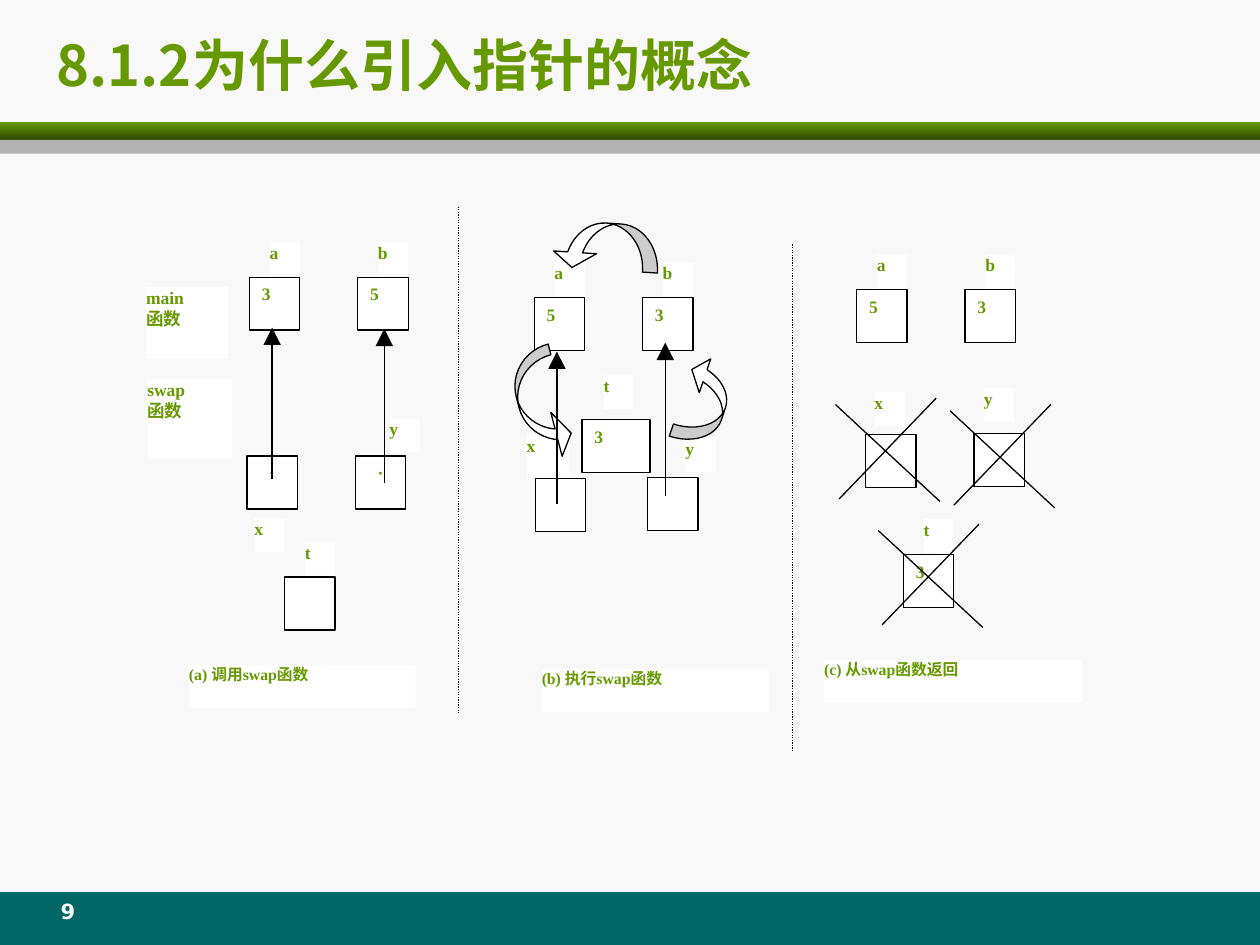
from lxml.etree import SubElement
from pptx import Presentation
from pptx.dml.color import RGBColor
from pptx.enum.dml import MSO_LINE
from pptx.enum.shapes import MSO_CONNECTOR, MSO_SHAPE
from pptx.enum.text import MSO_ANCHOR, PP_ALIGN
from pptx.oxml.ns import qn
from pptx.util import Inches, Pt

COLORS = {
    "background": "F8F8F8", "green": "669900", "dark_green": "2F4700",
    "gray": "B2B2B2", "teal": "006666", "white": "FFFFFF", "black": "000000",
}
SERIF, SANS, CJK = "Times New Roman", "DejaVu Sans", "Noto Sans CJK JP"
CELL_WIDTH, CELL_HEIGHT = 0.4, 0.42
COLUMN_STEP = 0.86  # from variable a to variable b


def color(name):
    return RGBColor.from_string(COLORS[name])


def add_text(shape, lines, size, font=SERIF, ink="green", inset=(0, 0),
             align=PP_ALIGN.LEFT, anchor=MSO_ANCHOR.TOP):
    frame = shape.text_frame
    frame.word_wrap = True
    frame.vertical_anchor = anchor
    frame.margin_left = frame.margin_right = Inches(inset[0])
    frame.margin_top = frame.margin_bottom = Inches(inset[1])
    for index, line in enumerate(lines):
        paragraph = frame.add_paragraph() if index else frame.paragraphs[0]
        paragraph.alignment = align
        run = paragraph.add_run()
        run.text = line
        run.font.size, run.font.bold, run.font.name = Pt(size), True, font
        run.font.color.rgb = color(ink)
        SubElement(run.font._element, qn("a:ea")).set("typeface", CJK)


def add_block(slide, left, top, width, height, fill="white", outlined=False,
              preset=MSO_SHAPE.RECTANGLE):
    shape = slide.shapes.add_shape(
        preset, Inches(left), Inches(top), Inches(width), Inches(height))
    shape.shadow.inherit = False
    shape.fill.solid()
    shape.fill.fore_color.rgb = color(fill)
    if outlined:
        shape.line.color.rgb = color("black")
        shape.line.width = Pt(0.75)
    else:
        shape.line.fill.background()
    return shape


def add_label(slide, left, top, *lines, width=0.24, height=0.27, size=10):
    add_text(add_block(slide, left, top, width, height), lines, size)


def add_cell(slide, left, top, value="", width=CELL_WIDTH, align=PP_ALIGN.LEFT):
    cell = add_block(slide, left, top, width, CELL_HEIGHT, outlined=True)
    if value:
        add_text(cell, [value], 10, inset=(0.1, 0.05), align=align)


def add_variable(slide, left, top, name, value=""):
    """A memory cell with its name above it."""
    add_label(slide, left + 0.16, top - 0.28, name)
    add_cell(slide, left, top, value)


def add_main_variables(slide, left, top, a, b):
    add_variable(slide, left, top, "a", a)
    add_variable(slide, left + COLUMN_STEP, top, "b", b)


def add_line(slide, start, end):
    line = slide.shapes.add_connector(
        MSO_CONNECTOR.STRAIGHT, *(Inches(value) for value in (*start, *end)))
    line.line.color.rgb = color("black")
    line.line.width = Pt(0.75)
    SubElement(line._element.spPr, qn("a:effectLst"))
    return line


def add_pointer(slide, left, top, bottom):
    """A vertical line with its arrowhead at the top."""
    line = add_line(slide, (left, top), (left, bottom))
    head = SubElement(line.line._get_or_add_ln(), qn("a:headEnd"))
    for key, value in (("type", "triangle"), ("w", "lg"), ("len", "lg")):
        head.set(key, value)


def add_curved_arrow(slide, left, top, width, height, rotation, adjustments):
    arrow = add_block(slide, left, top, width, height, outlined=True,
                      preset=MSO_SHAPE.CURVED_UP_ARROW)
    arrow.rotation = rotation
    for index, value in enumerate(adjustments):
        arrow.adjustments[index] = value


def add_cross(slide, left, top):
    add_line(slide, (left + 0.8, top), (left + 0.03, top + 0.8))
    add_line(slide, (left, top + 0.05), (left + 0.83, top + 0.82))


def add_caption(slide, left, top, text, width=1.8):
    add_label(slide, left, top, text, width=width, height=0.34, size=9)


def add_header(slide, left, top, width):
    # Title, gradient bar and gray bar
    title = slide.shapes.add_textbox(
        Inches(left + 0.35), Inches(top + 0.21), Inches(8.72), Inches(0.59))
    add_text(title, ["8.1.2为什么引入指针的概念"], 32, font=CJK,
             inset=(0.1, 0.05), anchor=MSO_ANCHOR.MIDDLE)
    bar = add_block(slide, left, top + 0.97, width, 0.14)
    bar.fill.gradient()
    bar.fill.gradient_angle = 270
    for stop, name, position in zip(
            bar.fill.gradient_stops, ("green", "dark_green"), (0, 1)):
        stop.color.rgb = color(name)
        stop.position = position
    add_block(slide, left, top + 1.11, width, 0.11, fill="gray")


def add_footer(slide, left, top, width, height):
    add_block(slide, left, top, width, height, fill="teal")
    number = slide.shapes.add_textbox(
        Inches(left + 0.25), Inches(top), Inches(0.58), Inches(0.33))
    add_text(number, ["9"], 12, font=SANS, ink="background",
             inset=(0.1, 0.05), align=PP_ALIGN.CENTER)


# In each panel, left and top are the corner of the cell of variable a.
def add_call_panel(slide, left, top):
    add_main_variables(slide, left, top, "3", "5")
    add_label(slide, left - 0.82, top + 0.08, "main", "函数", width=0.65, height=0.57)
    add_label(slide, left - 0.81, top + 0.81, "swap", "函数", width=0.67, height=0.63)
    # Parameters and the temporary variable
    add_label(slide, left + 0.04, top + 1.91, "x")
    add_label(slide, left + 1.11, top + 1.12, "y")
    for column in range(2):
        add_cell(slide, left - 0.02 + column * COLUMN_STEP, top + 1.42, "·",
                 align=PP_ALIGN.CENTER)
    add_variable(slide, left + 0.28, top + 2.38, "t")
    add_pointer(slide, left + 0.18, top + 0.4, top + 1.6)
    add_pointer(slide, left + 1.07, top + 0.41, top + 1.63)
    add_caption(slide, left - 0.48, top + 3.08, "(a) 调用swap函数")


def add_execute_panel(slide, left, top):
    add_main_variables(slide, left, top, "5", "3")
    # Parameters and the temporary variable
    add_label(slide, left - 0.06, top + 1.09, "x", width=0.34, height=0.36)
    add_cell(slide, left + 0.01, top + 1.44)
    add_label(slide, left + 1.2, top + 1.12, "y")
    add_cell(slide, left + 0.9, top + 1.43)
    add_label(slide, left + 0.55, top + 0.62, "t")
    add_cell(slide, left + 0.38, top + 0.97, "3", width=0.54)
    # Moves a to t, t to b and b to a
    add_curved_arrow(slide, left - 0.4, top + 0.68, 0.91, 0.35, 75.5, (0.25, 1.03, 0.33))
    add_curved_arrow(slide, left + 1, top + 0.65, 0.7, 0.35, 288.6, (0.29, 0.81, 0.33))
    add_curved_arrow(slide, left + 0.14, top - 0.59, 0.85, 0.37, 183.7, (0.32, 0.92, 0.33))
    add_pointer(slide, left + 0.18, top + 0.43, top + 1.64)
    add_pointer(slide, left + 1.04, top + 0.36, top + 1.58)
    add_caption(slide, left + 0.06, top + 2.95, "(b) 执行swap函数")


def add_return_panel(slide, left, top):
    add_main_variables(slide, left, top, "5", "3")
    # Released variables, crossed out
    add_cell(slide, left + 0.07, top + 1.15)
    add_label(slide, left + 0.14, top + 0.81, "x")
    add_cell(slide, left + 0.93, top + 1.14)
    add_label(slide, left + 1.01, top + 0.78, "y")
    add_variable(slide, left + 0.37, top + 2.1, "t", "3")
    for across, down in ((-0.17, 0.86), (0.74, 0.91), (0.17, 1.86)):
        add_cross(slide, left + across, top + down)
    add_caption(slide, left - 0.26, top + 2.94, "(c) 从swap函数返回", width=2.05)


def main():
    presentation = Presentation()
    presentation.slide_width, presentation.slide_height = Inches(10), Inches(7.5)
    slide = presentation.slides.add_slide(presentation.slide_layouts[6])
    slide.background.fill.solid()
    slide.background.fill.fore_color.rgb = color("background")

    add_footer(slide, 0, 7.08, 10, 0.42)
    add_header(slide, 0, 0, 10)
    add_call_panel(slide, 1.98, 2.2)
    add_execute_panel(slide, 4.24, 2.36)
    add_return_panel(slide, 6.8, 2.3)
    # Dividers between the panels
    for left, top in ((3.64, 1.64), (6.29, 1.94)):
        divider = add_line(slide, (left, top), (left, top + 4.02))
        divider.line.dash_style = MSO_LINE.ROUND_DOT
    presentation.save("out.pptx")


if __name__ == "__main__":
    main()
